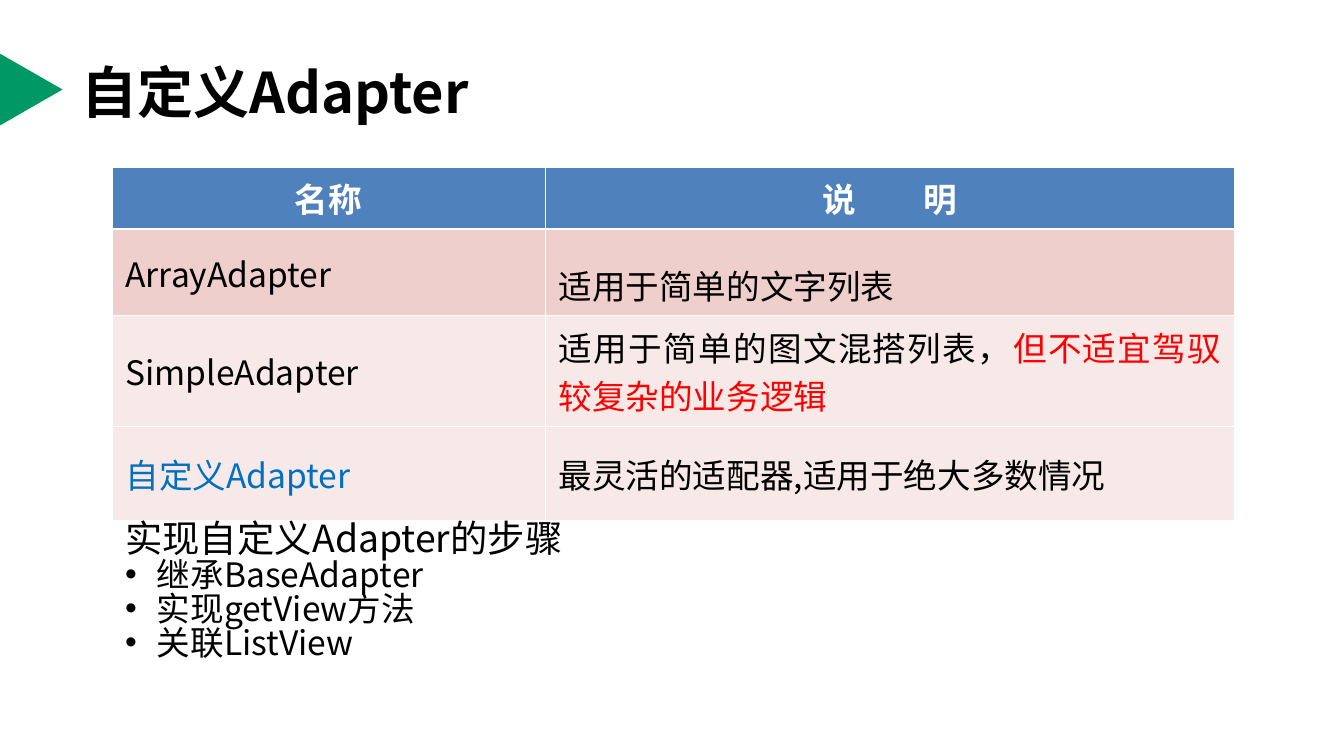
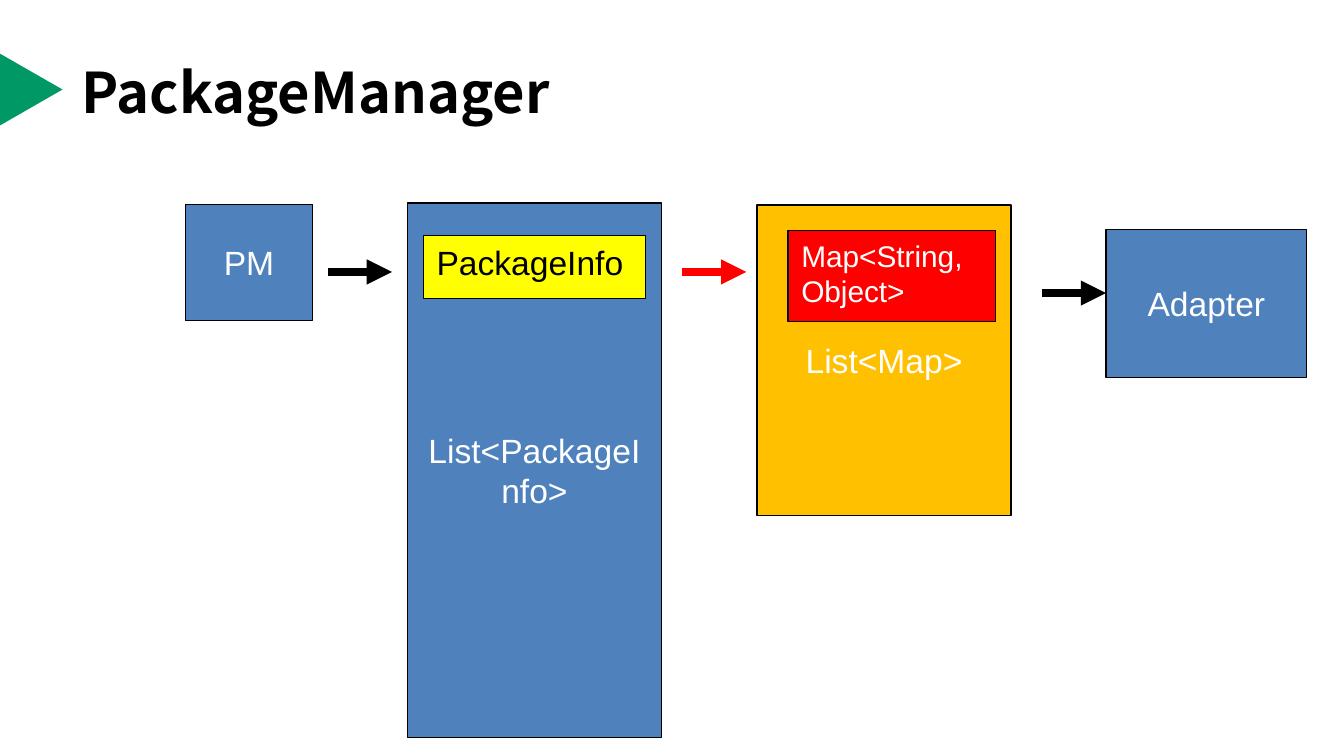
from lxml import etree
from pptx import Presentation
from pptx import util as u
from pptx.dml import color
from pptx.enum import shapes, text
from pptx.oxml import ns

Pt = u.Pt
INK = dict(black="000000", white="FFFFFF", green="009966", blue="4F81BD",
           rose="EFCFCC", pale="F7E9E7", red="FF0000", link="0070C0",
           yellow="FFFF00", amber="FFC000")
CJK = "Noto Sans CJK SC"
LEFT, MID, FULL = text.PP_ALIGN.LEFT, text.PP_ALIGN.CENTER, text.PP_ALIGN.JUSTIFY
TOP, HALF = text.MSO_ANCHOR.TOP, text.MSO_ANCHOR.MIDDLE


def rgb(ink):
    return color.RGBColor.from_string(INK[ink])


def put(item, **vals):
    for key, val in vals.items():
        setattr(item, key, val)


def sub(node, tag, **vals):
    return etree.SubElement(node, ns.qn(tag), **vals)


class Deck:
    def __init__(self):
        self.prs = Presentation()
        put(self.prs, slide_width=Pt(720), slide_height=Pt(405))
        self.slide = None

    def page(self, title):
        self.slide = self.prs.slides.add_slide(self.prs.slide_layouts[5])
        mark = self.shape(shapes.MSO_SHAPE.ISOSCELES_TRIANGLE, (-3, 31, 39, 34), "green")
        mark.rotation = 90
        head = self.slide.shapes.title
        put(head, left=Pt(36.5), top=Pt(15), width=Pt(648), height=Pt(68))
        put(head.text_frame, vertical_anchor=HALF, word_wrap=True,
            auto_size=text.MSO_AUTO_SIZE.NONE)
        self.words(head.text_frame.paragraphs[0], [(title, "black")], 30, bold=True)

    def words(self, para, parts, size, face=CJK, bold=False, align=LEFT, lead=1.0):
        put(para, alignment=align, line_spacing=lead)
        for part, ink in parts:
            run = para.add_run()
            run.text = part
            put(run.font, size=Pt(size), bold=bold, name=face)
            run.font.color.rgb = rgb(ink)
            sub(run.font._element, "a:ea", typeface=CJK)

    def shape(self, kind, box, fill, line=None):
        item = self.slide.shapes.add_shape(kind, *map(Pt, box))
        item.shadow.inherit = False
        item.fill.solid()
        item.fill.fore_color.rgb = rgb(fill)
        if line:
            item.line.color.rgb = rgb(line)
            item.line.width = Pt(0.75)
        else:
            item.line.fill.background()
        return item

    def block(self, box, label, fill, ink="white", size=18, align=MID, anchor=HALF):
        item = self.shape(shapes.MSO_SHAPE.RECTANGLE, box, fill, "black")
        put(item.text_frame, word_wrap=True, vertical_anchor=anchor)
        self.words(item.text_frame.paragraphs[0], [(label, ink)], size, "Arial", align=align)

    def arrow(self, left, right, y, ink="black"):
        link = self.slide.shapes.add_connector(
            shapes.MSO_CONNECTOR.STRAIGHT, Pt(left), Pt(y), Pt(right), Pt(y))
        link.line.width = Pt(4.5)
        link.line.color.rgb = rgb(ink)
        sub(link.line._get_or_add_ln(), "a:tailEnd", type="triangle")
        sub(link._element.spPr, "a:effectLst")

    def cell(self, cell, parts, fill, edges, anchor=HALF, **style):
        props = cell._tc.get_or_add_tcPr()
        for side, width in zip("LRTB", edges):
            line = sub(props, "a:ln" + side, w=str(int(Pt(width))))
            sub(sub(line, "a:solidFill"), "a:srgbClr", val=INK["white"])
        cell.fill.solid()
        cell.fill.fore_color.rgb = rgb(fill)
        cell.vertical_anchor = anchor
        self.words(cell.text_frame.paragraphs[0], parts, 18, **style)

    def table(self, box, cols, rows, head, body):
        grid = self.slide.shapes.add_table(
            len(rows), len(cols), *map(Pt, box)).table
        for col, width in zip(grid.columns, cols):
            col.width = Pt(width)
        for row, height in zip(grid.rows, rows):
            row.height = Pt(height)
        thin, thick = 0.45, 1.47
        for x, parts in enumerate(head):
            self.cell(grid.cell(0, x), parts, "blue", (thin, thin, thin, thick),
                      TOP, face="Arial", bold=True, align=MID)
        for y, (name, note) in enumerate(body, 1):
            first = y == 1
            fill = "rose" if first else "pale"
            edges = (thin, thin, thick if first else thin, thin)
            self.cell(grid.cell(y, 0), name, fill, edges)
            self.cell(grid.cell(y, 1), note, fill, edges, align=FULL,
                      lead=1.5 if first else 1.0)
        return grid

    def steps(self, box, head, items):
        frame = self.slide.shapes.add_textbox(*map(Pt, box)).text_frame
        frame.word_wrap = True
        self.words(frame.paragraphs[0], [(head, "black")], 20, lead=0.84)
        for item in items:
            para = frame.add_paragraph()
            para.line_spacing = 0.84
            props = para._p.get_or_add_pPr()
            props.set("marL", str(int(Pt(17))))
            props.set("indent", str(int(Pt(-17))))
            sub(sub(props, "a:buClr"), "a:srgbClr", val=INK["black"])
            sub(props, "a:buFont", typeface="Arial")
            sub(props, "a:buChar", char="•")
            self.words(para, [(item, "black")], 18, lead=0.84)


def main():
    deck = Deck()
    deck.page("自定义Adapter")
    grid = deck.table(
        (60, 89.5, 601.5, 173), (232, 369.5), (31, 41, 50.4, 50.4),
        [[("名称", "white")], [("说", "white"), (" ", "white"), ("明", "white")]],
        [([("ArrayAdapter", "black")], [("适用于简单的文字列表", "black")]),
         ([("SimpleAdapter", "black")],
          [("适用于简单的图文混搭列表，", "black"),
           ("但不适宜驾驭较复杂的业务逻辑", "red")]),
         ([("自定义Adapter", "link")],
          [("最灵活的适配器,适用于绝大多数情况", "black")])])
    gap = grid.cell(0, 1).text_frame.paragraphs[0].runs[1]
    gap.font._element.set("spc", "3200")
    deck.steps((60, 276.5, 589, 96.5), "实现自定义Adapter的步骤",
               ["继承BaseAdapter", "实现getView方法", "关联ListView"])

    deck.page("PackageManager")
    deck.block((99.4, 109.6, 68, 62.2), "PM", "blue")
    deck.block((218.2, 108.7, 136.2, 286.5), "List<PackageInfo>", "blue")
    deck.block((226.8, 126, 119, 34), "PackageInfo", "yellow", "black",
               align=LEFT, anchor=TOP)
    deck.block((405.5, 109.8, 136.2, 166.4), "List<Map>", "amber")
    deck.block((422.2, 123.6, 111, 48.6), "Map<String,Object>", "red",
               size=16, align=LEFT, anchor=TOP)
    deck.block((592.5, 123, 107.6, 79.2), "Adapter", "blue")
    deck.arrow(176, 210, 145.7)
    deck.arrow(365.6, 399.8, 145.7, "red")
    deck.arrow(558.5, 592.5, 157)
    deck.prs.save("out.pptx")


if __name__ == "__main__":
    main()
